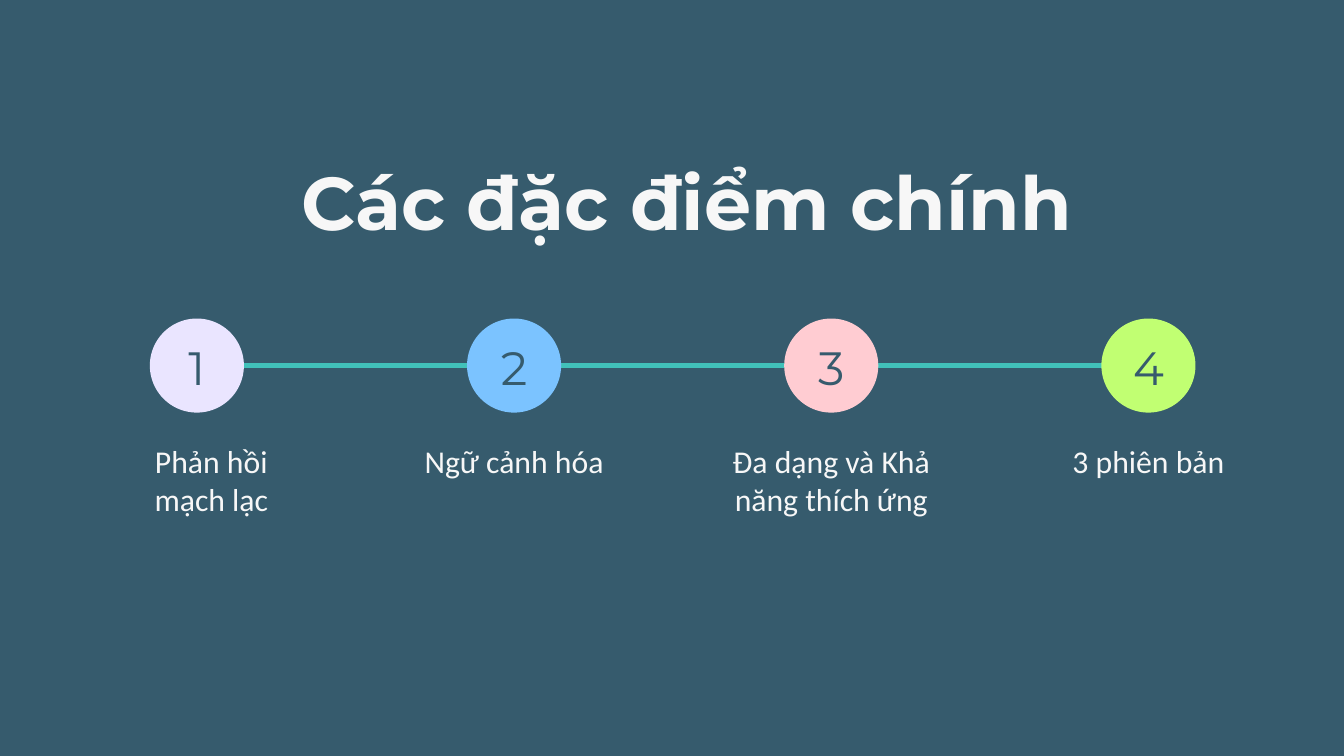
import pptx
import pptx.dml.color
import pptx.enum.shapes
import pptx.enum.text
import pptx.oxml
import pptx.util
from dataclasses import dataclass
from pptx.util import Inches

SLATE, WHITE, TEAL = "365B6D", "F7F7F7", "41C1BA"
DIAMETER, FIRST_LEFT, STEP, CENTER_Y = 1.4, 2.23, 4.72, 5.44
LABEL_TOP = 6.57


@dataclass
class Feature:
    label: str
    color: str
    left: float
    width: float
    height: float


FEATURES = [
    Feature("Phản hồi mạch lạc", "EAE5FF", 1.91, 2.47, 1.14),
    Feature("Ngữ cảnh hóa", "7BC3FF", 5.97, 3.36, 0.57),
    Feature("Đa dạng và Khả năng thích ứng", "FFCCD2", 10.88, 2.98, 1.7),
    Feature("3 phiên bản", "C1FF72", 15.66, 2.86, 0.57),
]


def rgb(color: str) -> pptx.dml.color.RGBColor:
    return pptx.dml.color.RGBColor.from_string(color)


def write(sp, text: str, *, font: str, size: float, spacing: float,
          color: str = WHITE, bold: bool = False, middle: bool = False) -> None:
    """Put one centred paragraph without insets into a shape."""
    anchor = pptx.enum.text.MSO_ANCHOR
    tf = sp.text_frame
    tf.word_wrap = True
    tf.auto_size = pptx.enum.text.MSO_AUTO_SIZE.NONE
    tf.margin_left = tf.margin_top = tf.margin_right = tf.margin_bottom = 0
    tf.vertical_anchor = anchor.MIDDLE if middle else anchor.TOP
    p = tf.paragraphs[0]
    p.alignment = pptx.enum.text.PP_ALIGN.CENTER
    p.line_spacing = pptx.util.Pt(spacing)
    p.space_before = p.space_after = pptx.util.Pt(0)
    r = p.add_run()
    r.text = text
    r.font.name, r.font.size, r.font.bold = font, pptx.util.Pt(size), bold
    r.font.color.rgb = rgb(color)


def add_title(slide, text: str) -> None:
    sp = slide.shapes.title
    sp.left, sp.top = Inches(3.35), Inches(2.32)
    sp.width, sp.height = Inches(13.74), Inches(1.33)
    write(sp, text, font="Montserrat", size=80, spacing=96, bold=True)


def add_timeline(slide) -> None:
    line = slide.shapes.add_connector(
        pptx.enum.shapes.MSO_CONNECTOR.STRAIGHT,
        Inches(3.47), Inches(CENTER_Y), Inches(16.53), Inches(CENTER_Y))
    line.line.color.rgb = rgb(TEAL)
    line.line.width = pptx.util.Pt(6)
    # An empty effect list removes the theme shadow
    sp_pr = line._element.spPr
    sp_pr.append(pptx.oxml.parse_xml(
        '<a:effectLst xmlns:a="http://schemas.openxmlformats.org/drawingml/2006/main"/>'))


def add_feature(slide, index: int, feature: Feature) -> None:
    left = FIRST_LEFT + index * STEP

    # Circle
    sp = slide.shapes.add_shape(
        pptx.enum.shapes.MSO_SHAPE.OVAL, Inches(left), Inches(CENTER_Y - DIAMETER / 2),
        Inches(DIAMETER), Inches(DIAMETER))
    sp.shadow.inherit = False
    sp.fill.solid()
    sp.fill.fore_color.rgb = rgb(feature.color)
    sp.line.fill.background()

    # Number, set slightly below the circle's centre
    number = slide.shapes.add_textbox(
        Inches(left + 0.13), Inches(5.04), Inches(1.14), Inches(0.97))
    write(number, str(index + 1), font="Montserrat", size=50, spacing=50,
          color=SLATE, middle=True)

    # Label
    label = slide.shapes.add_textbox(
        Inches(feature.left), Inches(LABEL_TOP), Inches(feature.width), Inches(feature.height))
    write(label, feature.label, font="Calibri", size=34, spacing=40.8)


def main() -> None:
    prs = pptx.Presentation()
    prs.slide_width, prs.slide_height = Inches(20), Inches(11.25)
    slide = prs.slides.add_slide(prs.slide_layouts[5])
    slide.background.fill.solid()
    slide.background.fill.fore_color.rgb = rgb(SLATE)

    add_title(slide, "Các đặc điểm chính")
    add_timeline(slide)
    for index, feature in enumerate(FEATURES):
        add_feature(slide, index, feature)
    prs.save("out.pptx")


if __name__ == "__main__":
    main()
